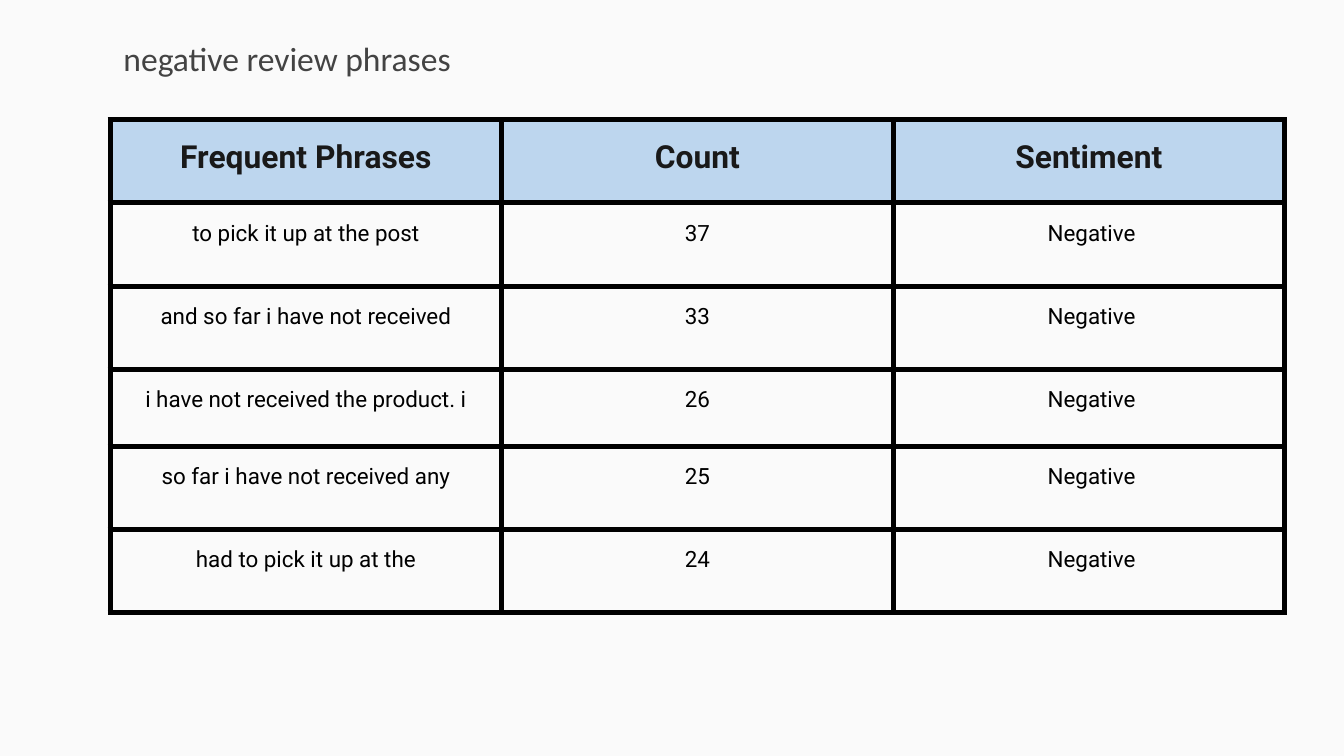
from dataclasses import dataclass

import pptx
import pptx.dml.color
import pptx.enum.text
import pptx.oxml
import pptx.oxml.ns
import pptx.util

WIDTH = 10
HEIGHT = WIDTH * 9 / 16
LEFT, TOP = 0.82, 0.89
TABLE_WIDTH = 8.74
ROW_HEIGHT, SHORT_ROW = 0.62, 0.57
INSET = 0.1
INK = "000000"
CENTER = pptx.enum.text.PP_ALIGN.CENTER


@dataclass
class Phrase:
    text: str
    count: int
    sentiment: str = "Negative"
    height: float = ROW_HEIGHT


HEADERS = ("Frequent Phrases", "Count", "Sentiment")
SIDE_MARGINS = (0.07, 0.07, 0.11)
PHRASES = (
    Phrase("to pick it up at the post", 37),
    Phrase("and so far i have not received", 33),
    Phrase("i have not received the product. i", 26, height=SHORT_ROW),
    Phrase("so far i have not received any", 25),
    Phrase("had to pick it up at the", 24),
)


def color(value: str) -> pptx.dml.color.RGBColor:
    return pptx.dml.color.RGBColor.from_string(value)


def write(tf, text: str, *, size: float, font: str = "Roboto", ink: str = INK,
          bold: bool = False, align=None, spacing: float = 1.0) -> None:
    p = tf.paragraphs[0]
    p.alignment = align
    p.line_spacing = spacing
    r = p.add_run()
    r.text = text
    r.font.size = pptx.util.Pt(size)
    r.font.name = font
    r.font.bold = bold
    r.font.color.rgb = color(ink)


def add_borders(cell, ink: str = INK, points: float = 3) -> None:
    tc_pr = cell._tc.get_or_add_tcPr()
    for i, side in enumerate(("lnL", "lnR", "lnT", "lnB")):
        tc_pr.insert(i, pptx.oxml.parse_xml(
            f'<a:{side} {pptx.oxml.ns.nsdecls("a")} w="{pptx.util.Pt(points)}">'
            f'<a:solidFill><a:srgbClr val="{ink}"/></a:solidFill>'
            f'<a:prstDash val="solid"/></a:{side}>'))


def fill_cell(cell, text: str, side_margin: float, header: bool) -> None:
    cell.margin_left = pptx.util.Inches(side_margin)
    cell.margin_right = pptx.util.Inches(SIDE_MARGINS[0])
    cell.margin_top = cell.margin_bottom = pptx.util.Inches(INSET)
    if header:
        cell.fill.solid()
        cell.fill.fore_color.rgb = color("BDD6EE")
        write(cell.text_frame, text, size=17, ink="191919", bold=True,
              align=CENTER, spacing=1.15)
    else:
        cell.fill.background()
        write(cell.text_frame, text, size=12, align=CENTER, spacing=1.15)
    add_borders(cell)


def add_title(s, text: str) -> None:
    box = s.shapes.add_textbox(*map(pptx.util.Inches, (LEFT, 0.17, 3.49, 0.53)))
    tf = box.text_frame
    tf.word_wrap = True
    tf.vertical_anchor = pptx.enum.text.MSO_ANCHOR.MIDDLE
    tf.margin_left = tf.margin_right = pptx.util.Inches(INSET)
    tf.margin_top = tf.margin_bottom = pptx.util.Inches(INSET)
    write(tf, text, size=18, font="Calibri", ink="434343")


def add_phrase_table(s) -> None:
    rows = [HEADERS] + [(x.text, str(x.count), x.sentiment) for x in PHRASES]
    heights = [ROW_HEIGHT] + [x.height for x in PHRASES]
    frame = s.shapes.add_table(
        len(rows), len(HEADERS),
        *map(pptx.util.Inches, (LEFT, TOP, TABLE_WIDTH, sum(heights))))
    table = frame.table
    table.first_row = table.horz_banding = False
    for column in table.columns:
        column.width = pptx.util.Inches(TABLE_WIDTH / len(HEADERS))
    for i, (values, height) in enumerate(zip(rows, heights)):
        table.rows[i].height = pptx.util.Inches(height)
        for j, value in enumerate(values):
            margin = SIDE_MARGINS[j] if i else SIDE_MARGINS[0]
            fill_cell(table.cell(i, j), value, margin, header=i == 0)


def main() -> None:
    prs = pptx.Presentation()
    prs.slide_width = pptx.util.Inches(WIDTH)
    prs.slide_height = pptx.util.Inches(HEIGHT)
    s = prs.slides.add_slide(prs.slide_layouts[6])
    s.background.fill.solid()
    s.background.fill.fore_color.rgb = color("FAFAFA")
    add_title(s, "negative review phrases")
    add_phrase_table(s)
    prs.save("out.pptx")


if __name__ == "__main__":
    main()
